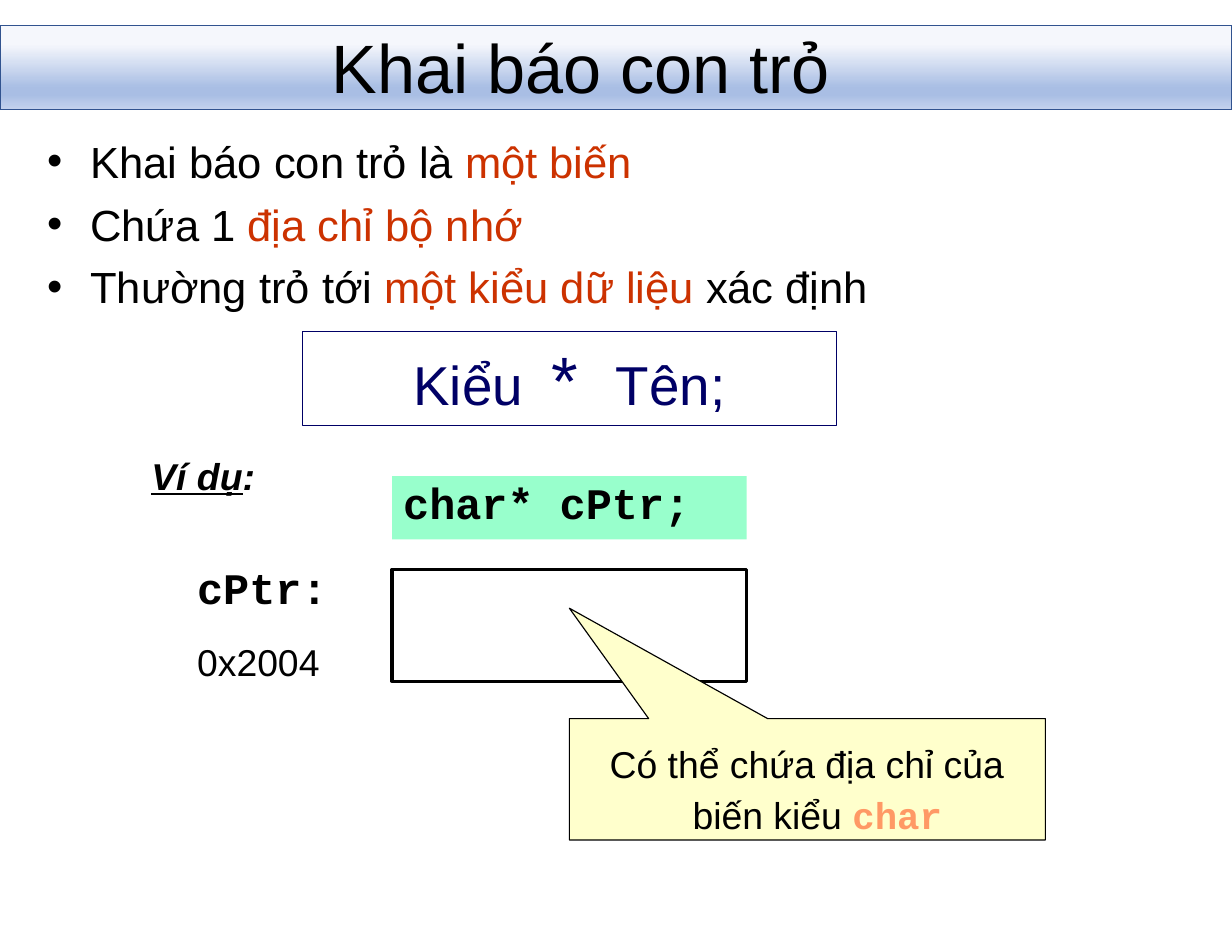
from dataclasses import dataclass

from lxml import etree
from pptx import Presentation
from pptx.dml.color import RGBColor
from pptx.enum.shapes import MSO_SHAPE
from pptx.enum.text import MSO_ANCHOR, PP_ALIGN
from pptx.oxml.ns import qn
from pptx.util import Emu, Inches, Pt


@dataclass(frozen=True)
class Theme:
    sans: str = "Arial"
    mono: str = "Courier New"
    black: str = "000000"
    red: str = "CC3200"
    navy: str = "000066"
    green: str = "98FFCC"
    yellow: str = "FFFFCC"
    orange: str = "FF9965"
    border: str = "31538F"
    heading: float = 44
    syntax: float = 35.2
    body: float = 28
    small: float = 24


theme = Theme()
banner_stops = [(0, "F5F7FC"), (22, "F5F7FC"), (74, "A9BEE4"), (83, "A9BEE4"), (100, "C5D3ED")]

deck = Presentation()
deck.slide_width, deck.slide_height = Inches(11), Inches(8.5)
page = deck.slides.add_slide(deck.slide_layouts[5])
column = deck.slide_width / 132
row = deck.slide_height / 102


def add_box(kind, left, top, width, height, fill=None, line=None, weight=0.75, insets=(0, 0, 0, 0)):
    place = [Emu(round(n)) for n in (left * column, top * row, width * column, height * row)]
    if kind is None:
        box = page.shapes.add_textbox(*place)
    else:
        box = page.shapes.add_shape(kind, *place)
        box.shadow.inherit = False
        if fill:
            box.fill.solid()
            box.fill.fore_color.rgb = RGBColor.from_string(fill)
        else:
            box.fill.background()
        if line:
            box.line.color.rgb = RGBColor.from_string(line)
            box.line.width = Pt(weight)
        else:
            box.line.fill.background()
    frame = box.text_frame
    frame.word_wrap = True
    frame.vertical_anchor = MSO_ANCHOR.TOP
    frame.margin_left, frame.margin_top, frame.margin_right, frame.margin_bottom = map(Inches, insets)
    return box


def write(para, spans, align=PP_ALIGN.LEFT, margin=0, indent=0, before=0, bullet=None):
    para.alignment = align
    settings = para._p.get_or_add_pPr()
    settings.set("marL", str(Inches(margin)))
    settings.set("indent", str(Inches(indent)))
    if bullet:
        etree.SubElement(settings, qn("a:buFont"), typeface=theme.sans)
        etree.SubElement(settings, qn("a:buChar"), char=bullet)
    para.space_before = Pt(before)
    for text, size, color, *style in spans:
        span = para.add_run()
        span.text = text
        span.font.name = theme.mono if "mono" in style else theme.sans
        span.font.size = Pt(size)
        span.font.color.rgb = RGBColor.from_string(color)
        span.font.bold = "bold" in style
        span.font.italic = "italic" in style
        span.font.underline = "underline" in style
    return para


banner = add_box(MSO_SHAPE.RECTANGLE, 0, 2.75, 132, 9, line=theme.border, weight=1)
banner.fill.gradient()
banner.fill.gradient_angle = 270
stops = banner.element.spPr.find(qn("a:gradFill")).find(qn("a:gsLst"))
stops.clear()
for position, color in banner_stops:
    stop = etree.SubElement(stops, qn("a:gs"), pos=str(position * 1000))
    etree.SubElement(stop, qn("a:srgbClr"), val=color)

title = page.shapes.title
title.left, title.top = round(35.4 * column), round(2.5 * row)
title.width, title.height = round(71 * column), round(9.1 * row)
title.element.addprevious(banner.element)
frame = title.text_frame
frame.margin_left = frame.margin_right = frame.margin_bottom = 0
frame.margin_top = Inches(0.01)
frame.vertical_anchor = MSO_ANCHOR.MIDDLE
write(frame.paragraphs[0], [("Khai báo con trỏ", theme.heading, theme.black)], margin=0.01)

points = [
    [("Khai báo con trỏ là ", theme.black), ("một biến", theme.red)],
    [("Chứa 1 ", theme.black), ("địa chỉ bộ nhớ", theme.red)],
    [("Thường trỏ tới ", theme.black), ("một kiểu dữ liệu ", theme.red), ("xác định", theme.black)],
]
frame = add_box(None, 5, 13.1, 88.5, 20.5, insets=(0, 0.11, 0, 0)).text_frame
for number, point in enumerate(points):
    para = frame.add_paragraph() if number else frame.paragraphs[0]
    spans = [(text, theme.body, color) for text, color in point]
    write(para, spans, margin=0.39, indent=-0.38, before=6.8 if number else 0, bullet="•")

syntax = add_box(MSO_SHAPE.RECTANGLE, 32.4, 35.5, 57.2, 10.1, line=theme.navy, insets=(0.1, 0.05, 0.1, 0.05))
para = write(syntax.text_frame.paragraphs[0], [
    ("Kiểu", theme.syntax, theme.navy),
    (" * ", theme.heading, theme.navy),
    ("Tên;", theme.syntax, theme.navy),
], align=PP_ALIGN.CENTER)
para.runs[1].font._element.set("spc", "600")

example = add_box(None, 16.1, 48.4, 11.4, 5.2, insets=(0, 0.01, 0, 0))
write(example.text_frame.paragraphs[0], [
    ("Ví dụ", theme.small, theme.black, "bold", "italic", "underline"),
    (":", theme.small, theme.black, "bold", "italic"),
], margin=0.01)

declaration = add_box(MSO_SHAPE.RECTANGLE, 42, 51, 38, 6.8, fill=theme.green)
write(declaration.text_frame.paragraphs[0],
      [("char* cPtr;", theme.body, theme.black, "mono", "bold")], margin=0.1)

label = add_box(None, 21, 56.6, 14.3, 16.8, insets=(0, 0.29, 0, 0)).text_frame
write(label.paragraphs[0], [("cPtr:", theme.body, theme.black, "mono", "bold")], margin=0.01)
write(label.add_paragraph(), [("0x2004", theme.small, theme.black)], margin=0.01, before=16.9)

add_box(MSO_SHAPE.RECTANGLE, 42, 61, 38, 12, line=theme.black, weight=2)

callout = add_box(MSO_SHAPE.RECTANGULAR_CALLOUT, 61, 77, 51, 13,
                  fill=theme.yellow, line=theme.black, insets=(0.35, 0.15, 0.35, 0))
callout.adjustments[0] = -0.5
callout.adjustments[1] = -1.41
para = write(callout.text_frame.paragraphs[0], [
    ("Có thể chứa địa chỉ của biến kiểu ", theme.small, theme.black),
    ("char", theme.small, theme.orange, "mono", "bold"),
], margin=0.75, indent=-0.74)
para.line_spacing = 1.13

deck.save("out.pptx")
